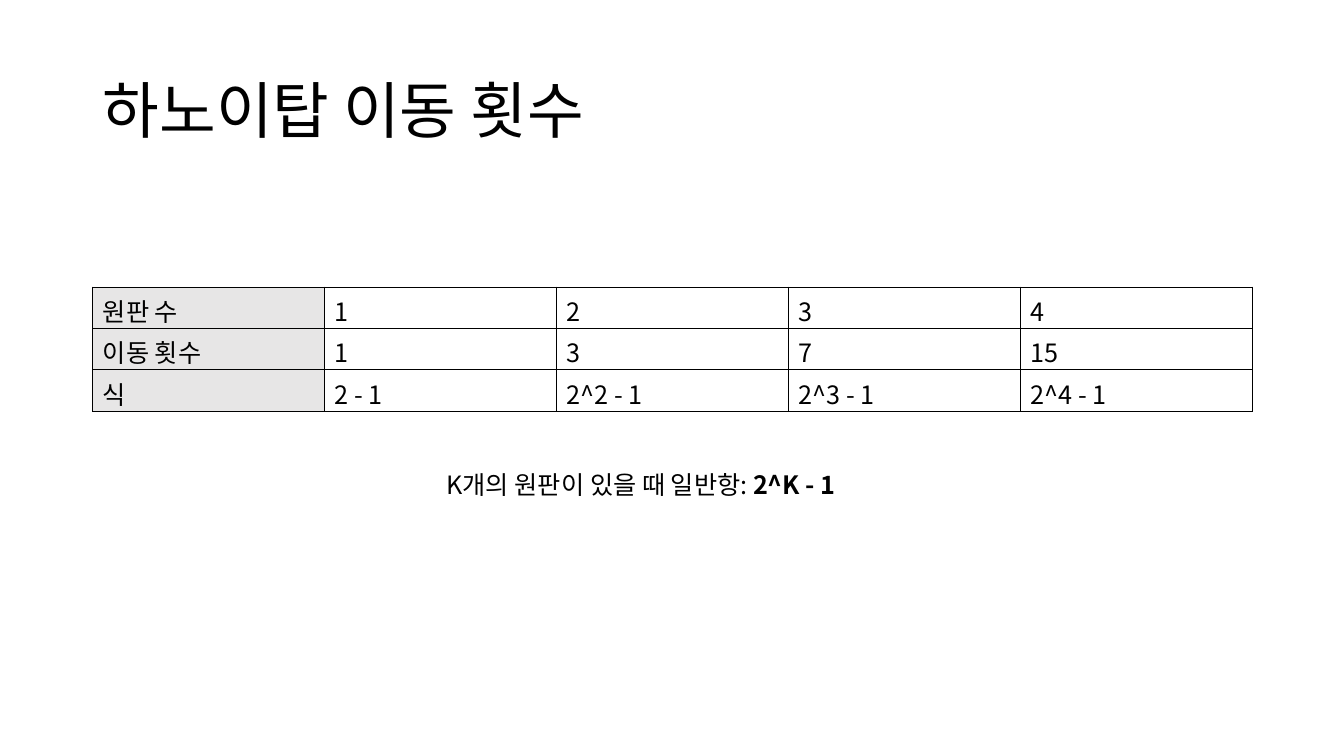
"""Build a slide on the number of moves in the Tower of Hanoi."""
from lxml.etree import SubElement
from pptx import Presentation
from pptx.dml.color import RGBColor
from pptx.enum.text import MSO_ANCHOR
from pptx.oxml.ns import qn
from pptx.util import Inches, Pt

TITLE = "하노이탑 이동 횟수"
MOVES = [
    ("원판 수", "1", "2", "3", "4"),
    ("이동 횟수", "1", "3", "7", "15"),
    ("식", "2 - 1", "2^2 - 1", "2^3 - 1", "2^4 - 1"),
]
FORMULA = [("K개의 원판이 있을 때 일반항: ", False), ("2^K - 1", True)]

FONT = "Noto Sans CJK KR"
BLACK = RGBColor(0x00, 0x00, 0x00)
WHITE = RGBColor(0xFF, 0xFF, 0xFF)
HEADER_GRAY = RGBColor(0xE7, 0xE6, 0xE6)
LEFT, WIDTH = 0.92, 11.5
ROW_HEIGHT = 0.41


def add_span(para, text, size=18, bold=False):
    span = para.add_run()
    span.text = text
    span.font.size = Pt(size)
    span.font.bold = bold
    span.font.name = FONT
    span.font.color.rgb = BLACK
    SubElement(span.font._element, qn("a:ea"), typeface=FONT)


def add_box(page, left, top, width, height):
    box = page.shapes.add_textbox(Inches(left), Inches(top), Inches(width), Inches(height))
    box.text_frame.word_wrap = True
    return box.text_frame


def add_borders(cell):
    properties = cell._tc.get_or_add_tcPr()
    for position, side in enumerate(("lnL", "lnR", "lnT", "lnB")):
        line = SubElement(properties, qn(f"a:{side}"), w=str(Pt(1)))
        fill = SubElement(line, qn("a:solidFill"))
        SubElement(fill, qn("a:srgbClr"), val=str(BLACK))
        properties.insert(position, line)


deck = Presentation()
deck.slide_width, deck.slide_height = Inches(13.33), Inches(7.5)
page = deck.slides.add_slide(deck.slide_layouts[6])

title = add_box(page, LEFT, 0.4, WIDTH, 1.45)
title.vertical_anchor = MSO_ANCHOR.MIDDLE
title.paragraphs[0].line_spacing = 0.9
add_span(title.paragraphs[0], TITLE, size=44)

table = page.shapes.add_table(
    len(MOVES), len(MOVES[0]), Inches(LEFT), Inches(2.85),
    Inches(WIDTH), Inches(ROW_HEIGHT * len(MOVES)),
).table
table.horz_banding = False
table.first_row = False
table.first_col = True
for row, values in enumerate(MOVES):
    for column, value in enumerate(values):
        cell = table.cell(row, column)
        cell.fill.solid()
        cell.fill.fore_color.rgb = WHITE if column else HEADER_GRAY
        add_borders(cell)
        add_span(cell.text_frame.paragraphs[0], value)

formula = add_box(page, 4.33, 4.61, 4.68, 0.4)
for text, bold in FORMULA:
    add_span(formula.paragraphs[0], text, bold=bold)

deck.save("out.pptx")
